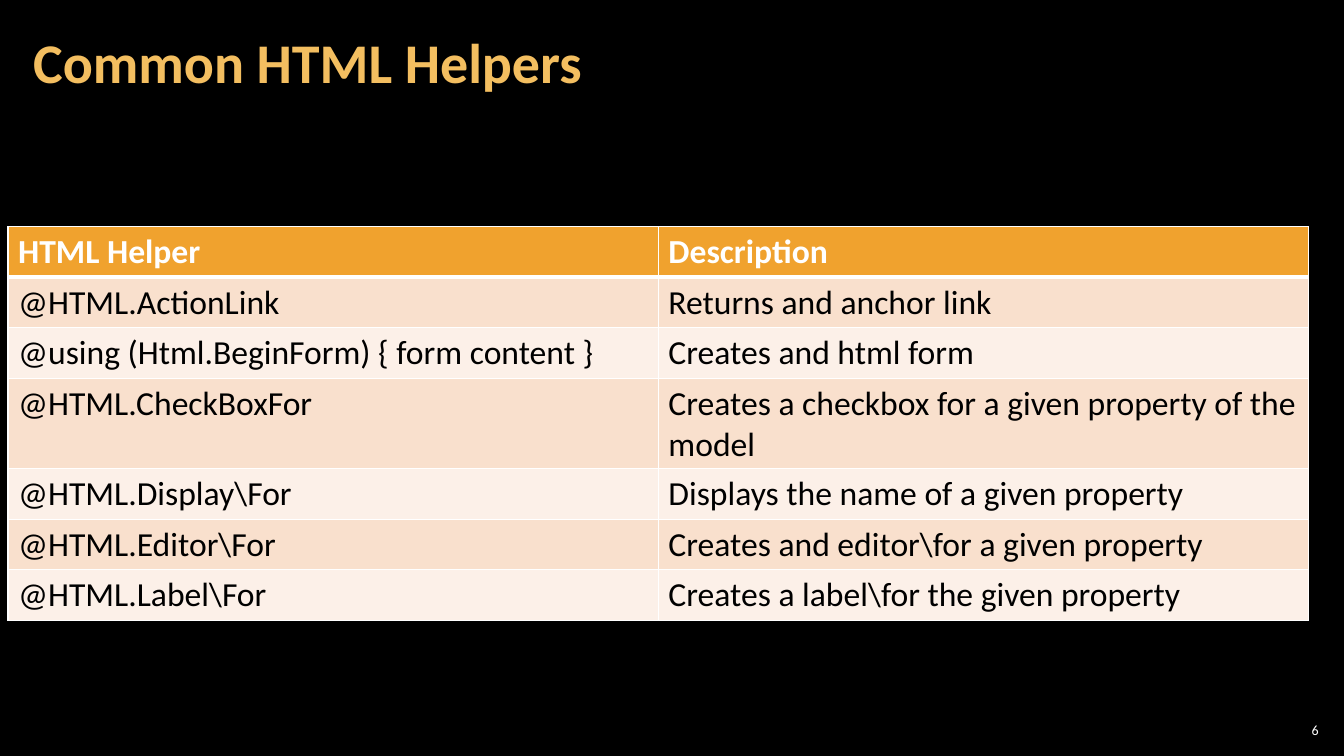
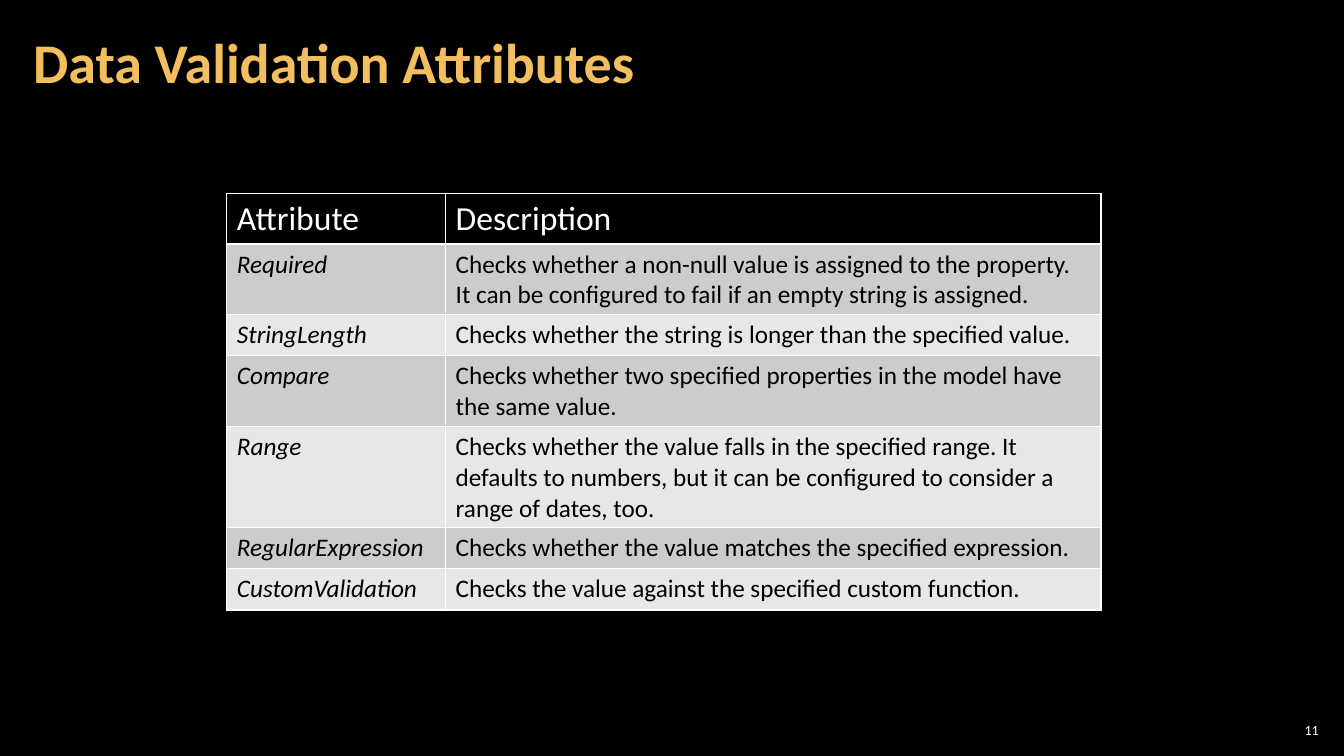
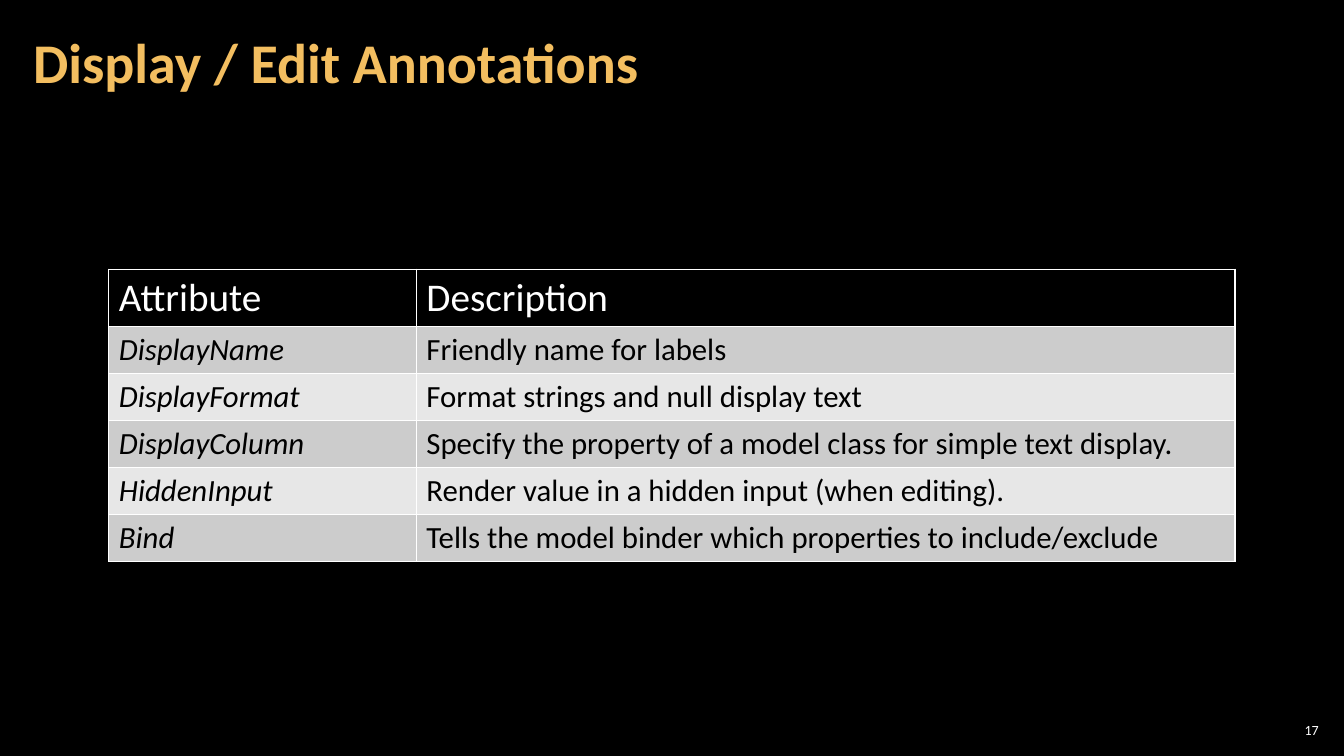
from lxml import etree
from pptx import Presentation
from pptx.dml.color import RGBColor
from pptx.enum.text import MSO_ANCHOR, PP_ALIGN
from pptx.oxml.ns import qn
from pptx.util import Inches, Pt

MIDDLE = MSO_ANCHOR.MIDDLE
LEFT, RIGHT = PP_ALIGN.LEFT, PP_ALIGN.RIGHT
BLANK_LAYOUT = 6
ROW_HEIGHT = 0.41
FONT = "Calibri"

COLORS = {
    "black": "000000",
    "white": "FFFFFF",
    "title": "F3BE60",
    "orange": "F0A22E",
    "peach": "F9E0CD",
    "cream": "FCF0E8",
    "gray": "CCCCCC",
    "silver": "E7E7E7",
}

TITLE = {
    "at": (0.21, 0.04, 10.47, 1.21),
    "side_inset": 0.12,
    "para": {"alignment": LEFT, "line_spacing": 0.9},
    "font": {"size": Pt(40), "bold": True},
    "color": "title",
}
NUMBER = {
    "at": (12.65, 7.14, 0.47, 0.21),
    "side_inset": 0.04,
    "para": {"alignment": RIGHT},
    "font": {"size": Pt(10)},
    "color": "white",
}

ORANGE_TABLE = {
    "header_fill": "orange",
    "bands": ("peach", "cream"),
    "header_font": {"bold": True},
    "key_font": {},
    "header_line": 3,
}
GRAY_TABLE = {
    "header_fill": "black",
    "bands": ("gray", "silver"),
    "header_font": {},
    "key_font": {"italic": True},
    "header_line": 1,
}

PAGES = [
    {
        "title": "Common HTML Helpers",
        "number": 6,
        "origin": (0.08, 2.25),
        "columns": (6.45, 6.45),
        "sizes": (24, 24),
        "look": ORANGE_TABLE,
        "rows": [
            ("HTML Helper", "Description"),
            ("@HTML.ActionLink", "Returns and anchor link"),
            ("@using (Html.BeginForm) { form content }", "Creates and html form"),
            ("@HTML.CheckBoxFor", "Creates a checkbox for a given property of the model"),
            ("@HTML.Display\\For", "Displays the name of a given property"),
            ("@HTML.Editor\\For", "Creates and editor\\for a given property"),
            ("@HTML.Label\\For", "Creates a label\\for the given property"),
        ],
    },
    {
        "title": "Data Validation Attributes",
        "number": 11,
        "origin": (2.25, 1.92),
        "columns": (2.17, 6.5),
        "sizes": (24, 18),
        "look": GRAY_TABLE,
        "rows": [
            ("Attribute", "Description"),
            ("Required", "Checks whether a non-null value is assigned to the property. "
                         "It can be configured to fail if an empty string is assigned."),
            ("StringLength", "Checks whether the string is longer than the specified value."),
            ("Compare", "Checks whether two specified properties in the model have "
                        "the same value."),
            ("Range", "Checks whether the value falls in the specified range. It "
                      "defaults to numbers, but it can be configured to consider a "
                      "range of dates, too."),
            ("RegularExpression", "Checks whether the value matches the specified expression."),
            ("CustomValidation", "Checks the value against the specified custom function."),
        ],
    },
    {
        "title": "Display / Edit Annotations",
        "number": 17,
        "origin": (1.08, 2.67),
        "columns": (3.05, 8.12),
        "sizes": (28, 22),
        "look": GRAY_TABLE,
        "rows": [
            ("Attribute", "Description"),
            ("DisplayName", "Friendly name for labels"),
            ("DisplayFormat", "Format strings and null display text"),
            ("DisplayColumn", "Specify the property of a model class for simple text display."),
            ("HiddenInput", "Render value in a hidden input (when editing)."),
            ("Bind", "Tells the model binder which properties to include/exclude"),
        ],
    },
]


def rgb(name):
    return RGBColor.from_string(COLORS[name])


def set_all(target, values):
    for name, value in values.items():
        setattr(target, name, value)


def write(frame, text, font, color, para_format):
    para = frame.paragraphs[0]
    set_all(para, para_format)
    span = para.add_run()
    span.text = text
    set_all(span.font, {"name": FONT, **font})
    span.font.color.rgb = rgb(color)


def add_text(page, text, style):
    box = page.shapes.add_textbox(*map(Inches, style["at"]))
    side, edge = Inches(style["side_inset"]), Inches(0.04)
    set_all(box.text_frame, {
        "word_wrap": True,
        "vertical_anchor": MIDDLE,
        "margin_left": side,
        "margin_right": side,
        "margin_top": edge,
        "margin_bottom": edge,
    })
    write(box.text_frame, text, style["font"], style["color"], style["para"])


def set_borders(cell, top, bottom):
    properties = cell._tc.get_or_add_tcPr()
    for side, width in {"L": 1, "R": 1, "T": top, "B": bottom}.items():
        line = etree.SubElement(properties, qn(f"a:ln{side}"), w=str(Pt(width)))
        fill = etree.SubElement(line, qn("a:solidFill"))
        etree.SubElement(fill, qn("a:srgbClr"), val=COLORS["white"])


def fill_cell(cell, text, row, column, sizes, look):
    rule = look["header_line"]
    if row == 0:
        background, color = look["header_fill"], "white"
        font = {"size": Pt(sizes[0]), **look["header_font"]}
    else:
        background, color = look["bands"][(row - 1) % 2], "black"
        font = {"size": Pt(sizes[1]), **(look["key_font"] if column == 0 else {})}
    set_borders(cell, rule if row == 1 else 1, rule if row == 0 else 1)
    cell.fill.solid()
    cell.fill.fore_color.rgb = rgb(background)
    write(cell.text_frame, text, font, color, {})


def add_grid(page, origin, columns, rows, sizes, look):
    size = sum(columns), ROW_HEIGHT * len(rows)
    table = page.shapes.add_table(
        len(rows), len(columns), *map(Inches, origin + size)).table
    set_all(table, {"first_row": False, "horz_banding": False})
    for column, width in zip(table.columns, columns):
        column.width = Inches(width)
    for row, texts in enumerate(rows):
        for column, text in enumerate(texts):
            fill_cell(table.cell(row, column), text, row, column, sizes, look)


def main():
    deck = Presentation()
    set_all(deck, {"slide_width": Inches(13.33), "slide_height": Inches(7.5)})
    backdrop = deck.slide_master.background.fill
    backdrop.solid()
    backdrop.fore_color.rgb = rgb("black")
    for content in PAGES:
        page = deck.slides.add_slide(deck.slide_layouts[BLANK_LAYOUT])
        add_text(page, str(content["number"]), NUMBER)
        add_text(page, content["title"], TITLE)
        add_grid(page, content["origin"], content["columns"], content["rows"],
                 content["sizes"], content["look"])
    deck.save("out.pptx")


if __name__ == "__main__":
    main()
